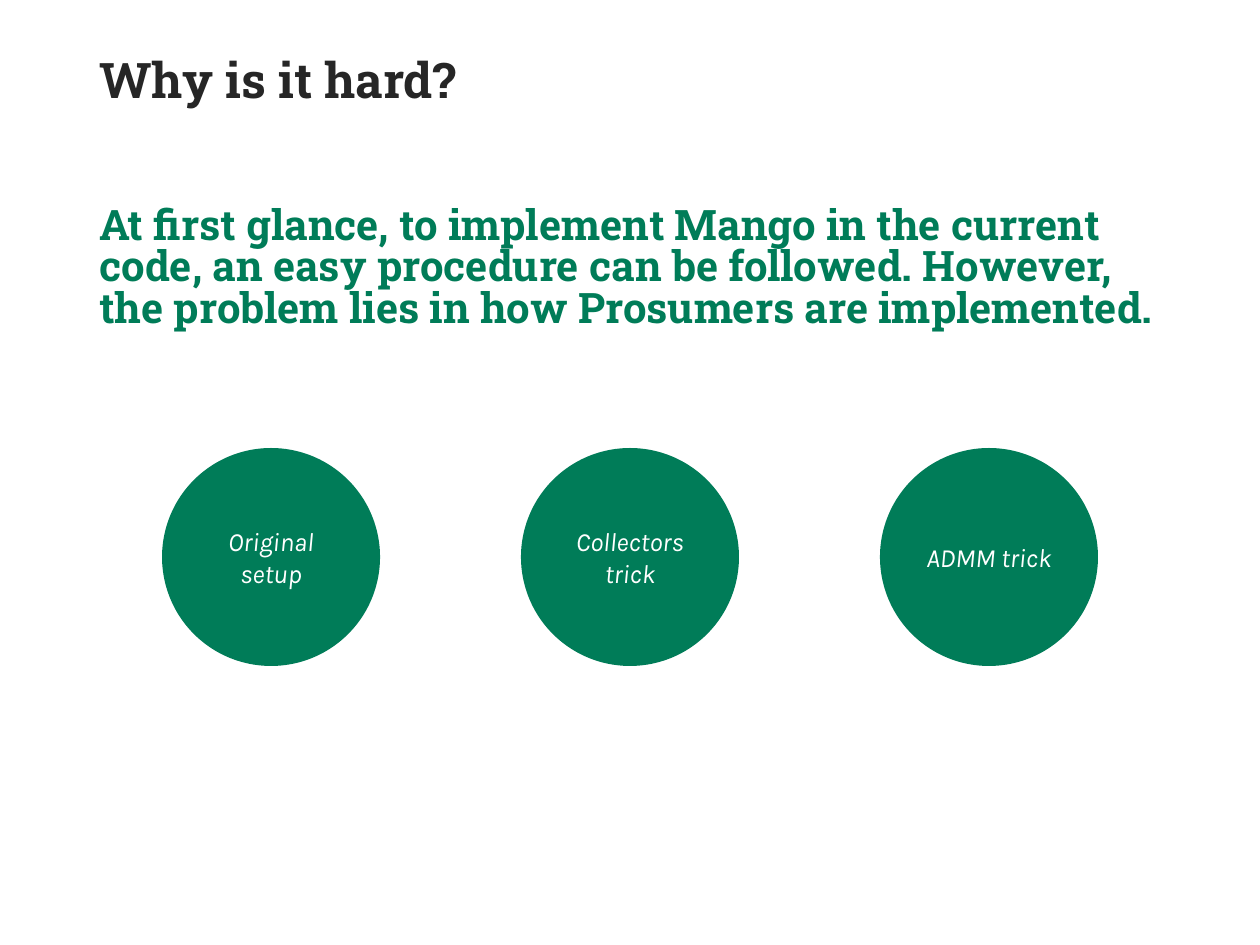
from pptx import Presentation
from pptx.dml.color import RGBColor
from pptx.enum.shapes import MSO_SHAPE
from pptx.enum.text import MSO_ANCHOR, PP_ALIGN
from pptx.util import Pt

PX = 914400 // 126
GREEN = "007C58"


def color(hex_value):
    return RGBColor.from_string(hex_value)


def write(shape, text, size, font_name, hex_value, anchor):
    frame = shape.text_frame
    frame.word_wrap = True
    frame.vertical_anchor = anchor
    paragraph = frame.paragraphs[0]
    paragraph.text = text
    paragraph.font.size = Pt(size)
    paragraph.font.name = font_name
    paragraph.font.color.rgb = color(hex_value)
    return paragraph


presentation = Presentation()
presentation.slide_width = 1260 * PX
presentation.slide_height = 945 * PX
slide = presentation.slides.add_slide(presentation.slide_layouts[6])

# Title and statement
headings = [
    ("Why is it hard?", 50, 136, 28, "262626", MSO_ANCHOR.TOP, 0.9),
    ("At first glance, to implement Mango in the current code, an easy procedure "
     "can be followed. However, the problem lies in how Prosumers are implemented.",
     217, 105, 24, GREEN, MSO_ANCHOR.MIDDLE, 0.82),
]
for text, top, height, size, hex_value, anchor, spacing in headings:
    box = slide.shapes.add_textbox(87 * PX, top * PX, 1086 * PX, height * PX)
    paragraph = write(box, text, size, "Roboto Slab", hex_value, anchor)
    paragraph.font.bold = True
    paragraph.line_spacing = spacing

# Row of topic circles
DIAMETER, PITCH = 218, 359
for index, topic in enumerate(["Original setup", "Collectors trick", "ADMM trick"]):
    circle = slide.shapes.add_shape(
        MSO_SHAPE.OVAL, (162 + index * PITCH) * PX, 448 * PX,
        DIAMETER * PX, DIAMETER * PX)
    circle.shadow.inherit = False
    circle.fill.solid()
    circle.fill.fore_color.rgb = color(GREEN)
    circle.line.fill.background()
    frame = circle.text_frame
    frame.margin_left = frame.margin_right = 10 * PX
    frame.margin_top = frame.margin_bottom = 5 * PX
    paragraph = write(circle, topic, 15, "Karla", "FFFFFF", MSO_ANCHOR.MIDDLE)
    paragraph.font.italic = True
    paragraph.alignment = PP_ALIGN.CENTER

presentation.save("out.pptx")
